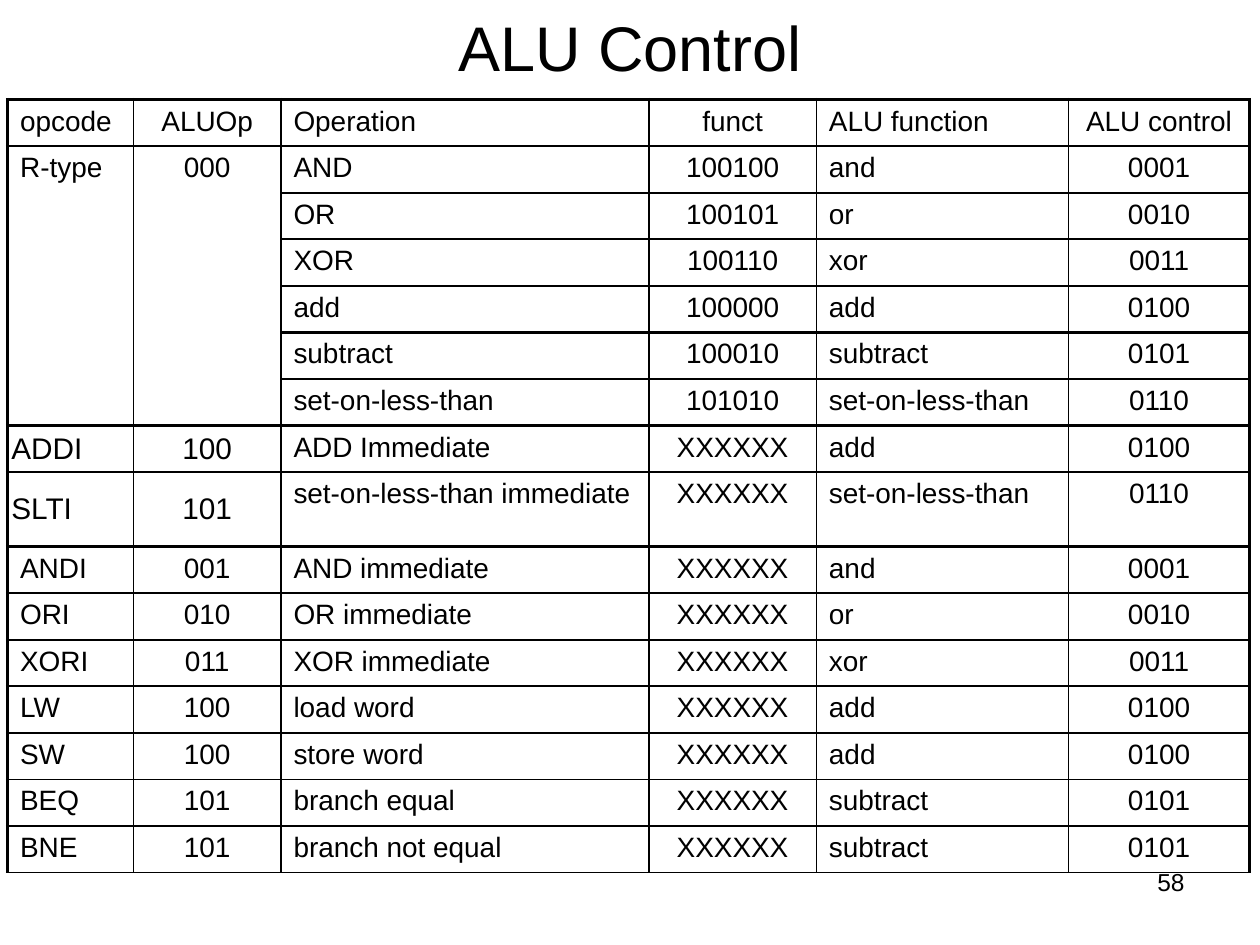
from dataclasses import dataclass

from lxml import etree
from pptx import Presentation
from pptx.dml.color import RGBColor
from pptx.enum.text import MSO_ANCHOR, PP_ALIGN
from pptx.oxml.ns import qn
from pptx.util import Inches, Pt

LEFT, CENTER, RIGHT = PP_ALIGN.LEFT, PP_ALIGN.CENTER, PP_ALIGN.RIGHT
TOP, MIDDLE = MSO_ANCHOR.TOP, MSO_ANCHOR.MIDDLE


@dataclass(frozen=True)
class Theme:
    font: str = "Arial"
    ink: str = "000000"
    title: int = 36
    body: int = 16
    emphasis: int = 17
    number: int = 14
    outer: float = 2.25
    rule: float = 1.5
    thin: float = 1


THEME = Theme()

COL_WIDTHS = [1, 1.17, 2.92, 1.33, 2, 1.44]
ALIGNS = [LEFT, CENTER] * 3
ROW_HEIGHT = 0.37
TALL_ROW, TALL_HEIGHT = 8, 0.59
EMPHASIS_ROWS = (7, 8)
FIRST_THIN_RULE = 13
MERGE_ROWS = (1, 6)

ROWS = [
    ("opcode", "ALUOp", "Operation", "funct", "ALU function", "ALU control"),
    ("R-type", "000", "AND", "100100", "and", "0001"),
    ("", "", "OR", "100101", "or", "0010"),
    ("", "", "XOR", "100110", "xor", "0011"),
    ("", "", "add", "100000", "add", "0100"),
    ("", "", "subtract", "100010", "subtract", "0101"),
    ("", "", "set-on-less-than", "101010", "set-on-less-than", "0110"),
    ("ADDI", "100", "ADD Immediate", "XXXXXX", "add", "0100"),
    ("SLTI", "101", "set-on-less-than immediate", "XXXXXX", "set-on-less-than", "0110"),
    ("ANDI", "001", "AND immediate", "XXXXXX", "and", "0001"),
    ("ORI", "010", "OR immediate", "XXXXXX", "or", "0010"),
    ("XORI", "011", "XOR immediate", "XXXXXX", "xor", "0011"),
    ("LW", "100", "load word", "XXXXXX", "add", "0100"),
    ("SW", "100", "store word", "XXXXXX", "add", "0100"),
    ("BEQ", "101", "branch equal", "XXXXXX", "subtract", "0101"),
    ("BNE", "101", "branch not equal", "XXXXXX", "subtract", "0101"),
]


def apply_format(obj, values):
    for name, value in values.items():
        setattr(obj, name, value)


def write_text(tf, text, size, align):
    p = tf.paragraphs[0]
    p.alignment = align
    r = p.add_run()
    r.text = text
    apply_format(r.font, {"name": THEME.font, "size": Pt(size)})
    r.font.color.rgb = RGBColor.from_string(THEME.ink)


def add_text(slide, box, text, size, align, anchor):
    sp = slide.shapes.add_textbox(*map(Inches, box))
    apply_format(sp.text_frame, {"word_wrap": True, "vertical_anchor": anchor})
    write_text(sp.text_frame, text, size, align)


def set_borders(cell, widths):
    tc_pr = cell._tc.get_or_add_tcPr()
    for side, width in widths.items():
        ln = etree.SubElement(tc_pr, qn(f"a:ln{side}"), w=str(Pt(width)))
        fill = etree.SubElement(ln, qn("a:solidFill"))
        etree.SubElement(fill, qn("a:srgbClr"), val=THEME.ink)


def rule_width(line):
    if line == 0:
        return THEME.outer
    return THEME.thin if line >= FIRST_THIN_RULE else THEME.rule


def format_cell(cell, row, col):
    set_borders(cell, {
        "L": THEME.outer if col == 0 else THEME.thin,
        "R": THEME.outer if col == len(COL_WIDTHS) - 1 else THEME.thin,
        "T": rule_width(row),
        "B": rule_width(row + cell.span_height if cell.is_merge_origin else row + 1),
    })
    cell.fill.background()
    emphasized = row in EMPHASIS_ROWS and col < 2
    if emphasized:
        apply_format(cell, {
            "vertical_anchor": MIDDLE,
            "margin_left": Inches(0.03),
            "margin_right": Inches(0.03),
            "margin_top": Inches(0.02),
            "margin_bottom": Inches(0.02),
        })
    size = THEME.emphasis if emphasized else THEME.body
    write_text(cell.text_frame, ROWS[row][col], size, ALIGNS[col])


def add_control_table(slide):
    heights = [TALL_HEIGHT if i == TALL_ROW else ROW_HEIGHT for i in range(len(ROWS))]
    box = (0.06, 0.79, sum(COL_WIDTHS), sum(heights))
    table = slide.shapes.add_table(len(ROWS), len(COL_WIDTHS), *map(Inches, box)).table
    apply_format(table, {"first_row": False, "horz_banding": False})
    for column, width in zip(table.columns, COL_WIDTHS):
        column.width = Inches(width)
    for row, height in zip(table.rows, heights):
        row.height = Inches(height)
    first, last = MERGE_ROWS
    for col in (0, 1):
        table.cell(first, col).merge(table.cell(last, col))
    for row in range(len(ROWS)):
        for col in range(len(COL_WIDTHS)):
            cell = table.cell(row, col)
            if not cell.is_spanned:
                format_cell(cell, row, col)


def main():
    prs = Presentation()
    apply_format(prs, {"slide_width": Inches(10), "slide_height": Inches(7.5)})
    slide = prs.slides.add_slide(prs.slide_layouts[6])
    add_text(slide, (0.5, -0.12, 9, 0.98), "ALU Control", THEME.title, CENTER, MIDDLE)
    add_control_table(slide)
    add_text(slide, (7.17, 6.83, 2.33, 0.52), "58", THEME.number, RIGHT, TOP)
    prs.save("out.pptx")


if __name__ == "__main__":
    main()
